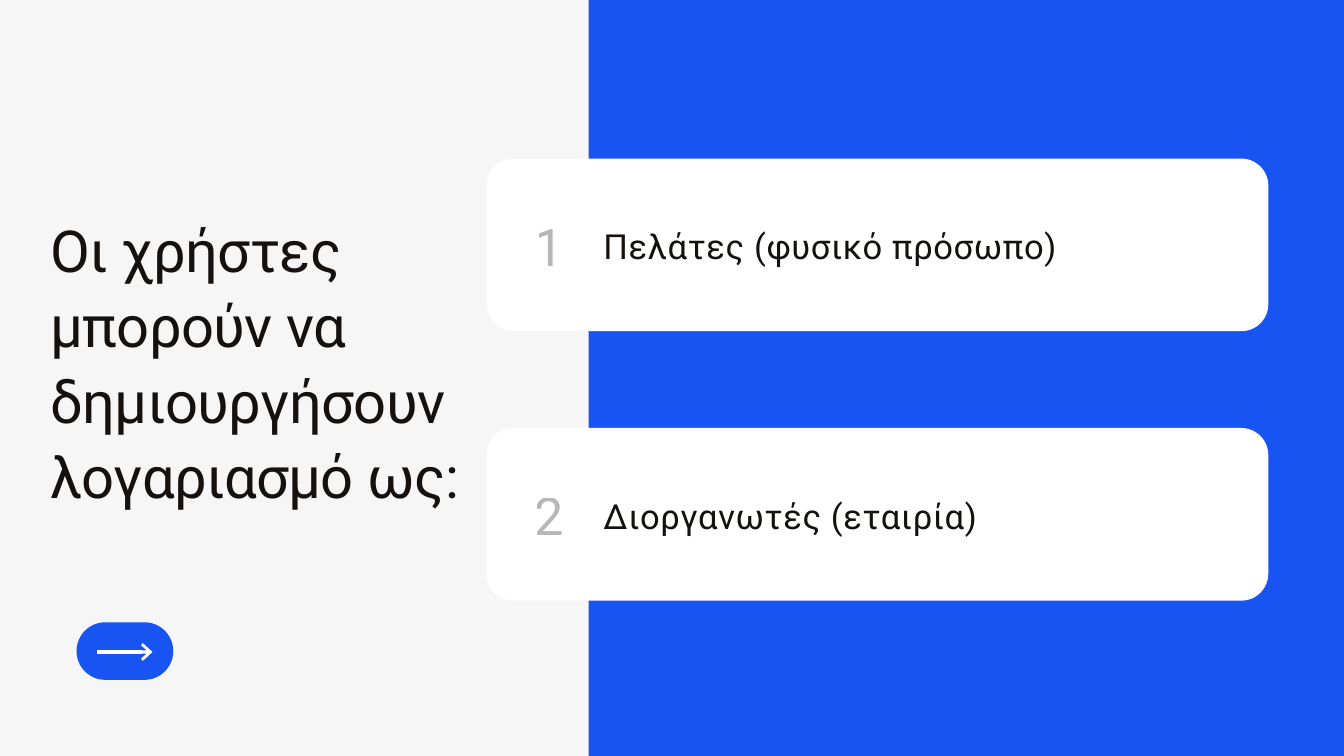
from dataclasses import dataclass

from lxml import etree
from pptx import Presentation
from pptx.dml.color import RGBColor
from pptx.enum.shapes import MSO_CONNECTOR, MSO_SHAPE
from pptx.enum.text import MSO_ANCHOR, MSO_AUTO_SIZE, PP_ALIGN
from pptx.oxml.ns import qn
from pptx.util import Pt

RECT = MSO_SHAPE.RECTANGLE
ROUNDED = MSO_SHAPE.ROUNDED_RECTANGLE
STRAIGHT = MSO_CONNECTOR.STRAIGHT
TOP = MSO_ANCHOR.TOP
LEFT = PP_ALIGN.LEFT
NO_FIT = MSO_AUTO_SIZE.NONE
TITLE_ONLY = 5


@dataclass(frozen=True)
class TextStyle:
    size: float
    leading: float
    spacing: float
    opacity: int = 100


@dataclass(frozen=True)
class Theme:
    font: str = "Roboto"
    ground: RGBColor = RGBColor(0xF6, 0xF6, 0xF6)
    accent: RGBColor = RGBColor(0x17, 0x54, 0xF1)
    card: RGBColor = RGBColor(0xFF, 0xFF, 0xFF)
    ink: RGBColor = RGBColor(0x14, 0x11, 0x0F)
    title: TextStyle = TextStyle(62, 80.6, -0.6)
    number: TextStyle = TextStyle(56, 72.8, -0.6, 30)
    label: TextStyle = TextStyle(37, 48.1, 0.7)


THEME = Theme()
WIDTH, HEIGHT = 1440, 810
TITLE = "Οι χρήστες μπορούν να δημιουργήσουν λογαριασμό ως:"
ACCOUNT_TYPES = ["Πελάτες (φυσικό πρόσωπο)", "Διοργανωτές (εταιρία)"]
CARD_TOP, CARD_PITCH = 169.9, 288.7


def write(sp, text, style):
    tf = sp.text_frame
    tf.text = text
    tf.word_wrap = True
    tf.auto_size = NO_FIT
    tf.vertical_anchor = TOP
    tf.margin_left = tf.margin_top = tf.margin_right = tf.margin_bottom = 0
    p = tf.paragraphs[0]
    p.alignment = LEFT
    p.line_spacing = Pt(style.leading)
    r = p.runs[0]
    r.font.name = THEME.font
    r.font.size = Pt(style.size)
    r.font.color.rgb = THEME.ink
    rPr = r._r.get_or_add_rPr()
    rPr.set("spc", str(round(style.spacing * 100)))
    if style.opacity < 100:
        clr = rPr.find(".//" + qn("a:srgbClr"))
        etree.SubElement(clr, qn("a:alpha")).set("val", str(style.opacity * 1000))


def add_text(slide, x, y, w, h, text, style):
    sp = slide.shapes.add_textbox(Pt(x), Pt(y), Pt(w), Pt(h))
    write(sp, text, style)


def add_block(slide, kind, x, y, w, h, color, radius=None):
    sp = slide.shapes.add_shape(kind, Pt(x), Pt(y), Pt(w), Pt(h))
    sp.shadow.inherit = False
    sp.fill.solid()
    sp.fill.fore_color.rgb = color
    sp.line.fill.background()
    if radius is not None:
        sp.adjustments[0] = radius / min(w, h)


def add_title(slide, x, y, w, h):
    sp = slide.shapes.title
    sp.left, sp.top, sp.width, sp.height = Pt(x), Pt(y), Pt(w), Pt(h)
    write(sp, TITLE, THEME.title)


def add_card(slide, x, y, w, h, number, label):
    add_block(slide, ROUNDED, x, y, w, h, THEME.card, radius=29)
    add_text(slide, x + 51.8, y + 54, 73.4, 72.8, str(number), THEME.number)
    add_text(slide, x + 125.2, y + 67.7, 633.6, 48.1, label, THEME.label)


def add_arrow_button(slide, x, y, w, h):
    add_block(slide, ROUNDED, x, y, w, h, THEME.accent, radius=h / 2)
    inset, mid = 22.3, y + h / 2 + 1
    cn = slide.shapes.add_connector(
        STRAIGHT, Pt(x + inset), Pt(mid), Pt(x + w - inset), Pt(mid))
    cn.line.color.rgb = THEME.card
    cn.line.width = Pt(3.5)
    head = etree.SubElement(cn.line._get_or_add_ln(), qn("a:tailEnd"))
    for key, value in (("type", "arrow"), ("w", "lg"), ("len", "med")):
        head.set(key, value)
    etree.SubElement(cn._element.spPr, qn("a:effectLst"))


def main():
    prs = Presentation()
    prs.slide_width, prs.slide_height = Pt(WIDTH), Pt(HEIGHT)
    slide = prs.slides.add_slide(prs.slide_layouts[TITLE_ONLY])
    slide.background.fill.solid()
    slide.background.fill.fore_color.rgb = THEME.ground

    panel_left = 630.8
    add_block(slide, RECT, panel_left, 0, WIDTH - panel_left, HEIGHT, THEME.accent)
    add_title(slide, 54, 223.9, 440.6, 326.9)
    for i, label in enumerate(ACCOUNT_TYPES):
        add_card(slide, 521.4, CARD_TOP + i * CARD_PITCH, 837.5, 185, i + 1, label)
    add_arrow_button(slide, 82, 666.7, 103.7, 61.7)
    prs.save("out.pptx")


if __name__ == "__main__":
    main()
